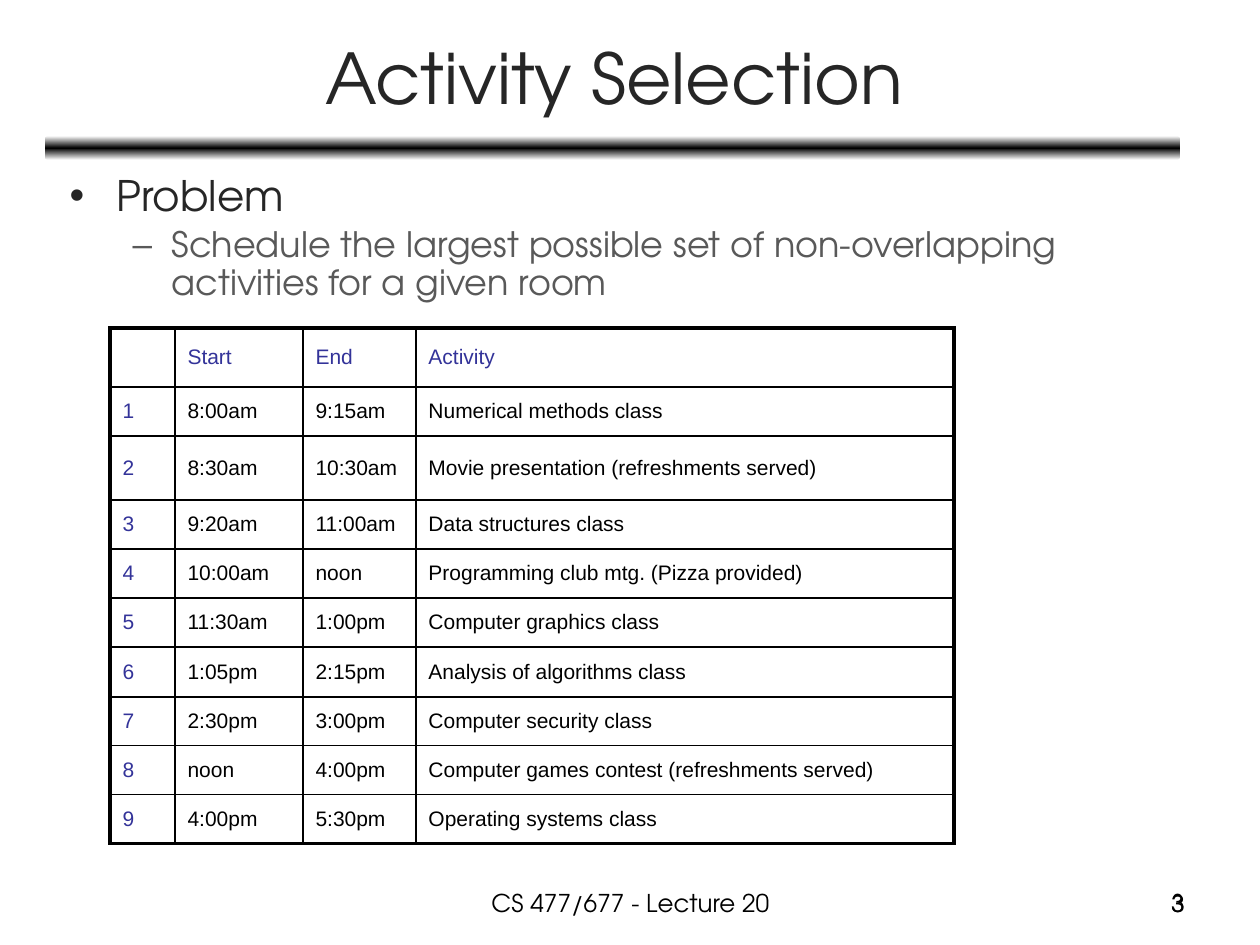
from copy import deepcopy
from itertools import pairwise
from pptx import Presentation
from pptx.dml.color import RGBColor
from pptx.enum.shapes import MSO_SHAPE
from pptx.enum.text import MSO_ANCHOR, MSO_AUTO_SIZE, PP_ALIGN
from pptx.oxml import parse_xml
from pptx.oxml.ns import nsdecls, qn
from pptx.util import Pt

# Content
TITLE = "Activity Selection"
POINTS = [  # text, level, size, colour, bullet, indent, hang
    ("Problem", 0, 24, "dark", "•", 47, 47),
    ("Schedule the largest possible set of non-overlapping activities "
     "for a given room", 1, 20, "gray", "–", 102, 39),
]
HEAD = ("", "Start", "End", "Activity")
PLANS = [
    ("8:00am", "9:15am", "Numerical methods class"),
    ("8:30am", "10:30am", "Movie presentation (refreshments served)"),
    ("9:20am", "11:00am", "Data structures class"),
    ("10:00am", "noon", "Programming club mtg. (Pizza provided)"),
    ("11:30am", "1:00pm", "Computer graphics class"),
    ("1:05pm", "2:15pm", "Analysis of algorithms class"),
    ("2:30pm", "3:00pm", "Computer security class"),
    ("noon", "4:00pm", "Computer games contest (refreshments served)"),
    ("4:00pm", "5:30pm", "Operating systems class"),
]
SANS, GEO = "Arial", "TeX Gyre Adventor"
NUM_BOX = (903, 882, 294, 44)
FOOT = [  # text, box, alignment, font
    ("CS 477/677 - Lecture 20", (431, 882, 399, 44), PP_ALIGN.CENTER, GEO),
    ("3", NUM_BOX, PP_ALIGN.RIGHT, SANS),
    ("3", NUM_BOX, PP_ALIGN.RIGHT, GEO),
]
COLORS = dict(white="FFFFFF", black="000000", dark="262626",
              gray="595959", blue="333399")
COLS = (110, 175, 303, 416, 954)
ROWS = (328, 387, 436, 500, 549, 598, 647, 697, 746, 795, 844)
THIN, THICK = Pt(1), Pt(2.25)


def px(n):
    return round(n * 914400 / 126)


def rgb(name):
    return RGBColor.from_string(COLORS[name])


def place(shape, *box):
    shape.left, shape.top, shape.width, shape.height = map(px, box)


def write(para, text, size, font, color):
    run = para.add_run()
    run.text = text
    run.font.size, run.font.name = Pt(size), font
    run.font.color.rgb = rgb(color)


def border(cell, widths):
    props = cell._tc.get_or_add_tcPr()
    for i, (side, width) in enumerate(zip("LRTB", widths)):
        props.insert(i, parse_xml(
            f'<a:ln{side} {nsdecls("a")} w="{width}"><a:solidFill>'
            f'<a:srgbClr val="{COLORS["black"]}"/></a:solidFill></a:ln{side}>'))


deck = Presentation()
deck.slide_width, deck.slide_height = px(1260), px(945)
slide = deck.slides.add_slide(deck.slide_layouts[1])
shapes = slide.shapes

# Title
title, body = slide.placeholders
place(title, 47, 14, 1134, 125)
frame = title.text_frame
frame.auto_size = MSO_AUTO_SIZE.NONE
frame.vertical_anchor = MSO_ANCHOR.MIDDLE
frame.paragraphs[0].alignment = PP_ALIGN.CENTER
write(frame.paragraphs[0], TITLE, 40, GEO, "dark")

# Bullet list
place(body, 57, 169, 1046, 152)
frame = body.text_frame
frame.auto_size = MSO_AUTO_SIZE.NONE
for i, (text, level, size, color, mark, left, hang) in enumerate(POINTS):
    para = frame.add_paragraph() if i else frame.paragraphs[0]
    para.level, para.line_spacing = level, 0.9
    para.space_before = Pt(size * 0.2)
    write(para, text, size, GEO, color)
    props = para._p.get_or_add_pPr()
    props.set("marL", str(px(left)))
    props.set("indent", str(-px(hang)))
    props.append(parse_xml(f'<a:buChar {nsdecls("a")} char="{mark}"/>'))

# Gradient rule under the title
bar = shapes.add_shape(MSO_SHAPE.ROUNDED_RECTANGLE,
                       *map(px, (45, 136, 1135, 24)))
bar.shadow.inherit = False
bar.line.fill.background()
bar.fill.gradient()
bar.fill.gradient_angle = 90
stops = next(bar._element.iter(qn("a:gsLst")))
stops.append(deepcopy(stops[-1]))
for stop, pos, color in zip(bar.fill.gradient_stops, (0, 0.5, 1),
                            ("white", "black", "white")):
    stop.position = pos
    stop.color.rgb = rgb(color)

# Activity table
rows = [HEAD] + [(str(i), *plan) for i, plan in enumerate(PLANS, 1)]
table = shapes.add_table(
    len(rows), len(HEAD), px(COLS[0]), px(ROWS[0]),
    px(COLS[-1] - COLS[0]), px(ROWS[-1] - ROWS[0])).table
table.first_row = table.horz_banding = False
for col, (a, b) in zip(table.columns, pairwise(COLS)):
    col.width = px(b - a)
for row, (a, b) in zip(table.rows, pairwise(ROWS)):
    row.height = px(b - a)
for r, texts in enumerate(rows):
    for c, text in enumerate(texts):
        cell = table.cell(r, c)
        cell.fill.background()
        cell.vertical_anchor = MSO_ANCHOR.MIDDLE
        para = cell.text_frame.paragraphs[0]
        para.space_before = Pt(2.4)
        if text:
            write(para, text, 12, SANS, "black" if r and c else "blue")
        outer = (c == 0, c == len(HEAD) - 1, r == 0, r == len(rows) - 1)
        border(cell, [THICK if edge else THIN for edge in outer])

# Footer and slide number
for text, box, align, font in FOOT:
    frame = shapes.add_textbox(*map(px, box)).text_frame
    frame.word_wrap = True
    frame.paragraphs[0].alignment = align
    write(frame.paragraphs[0], text, 14, font, "black")

deck.save("out.pptx")
